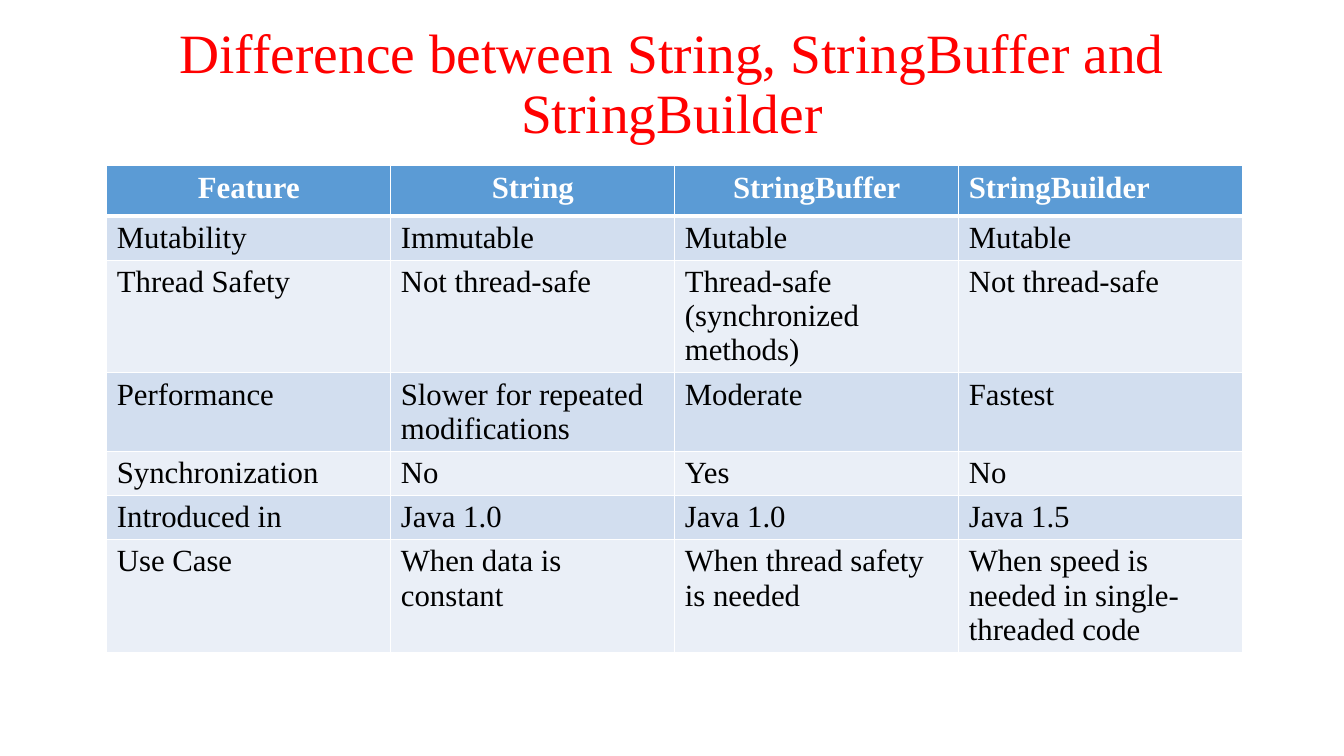
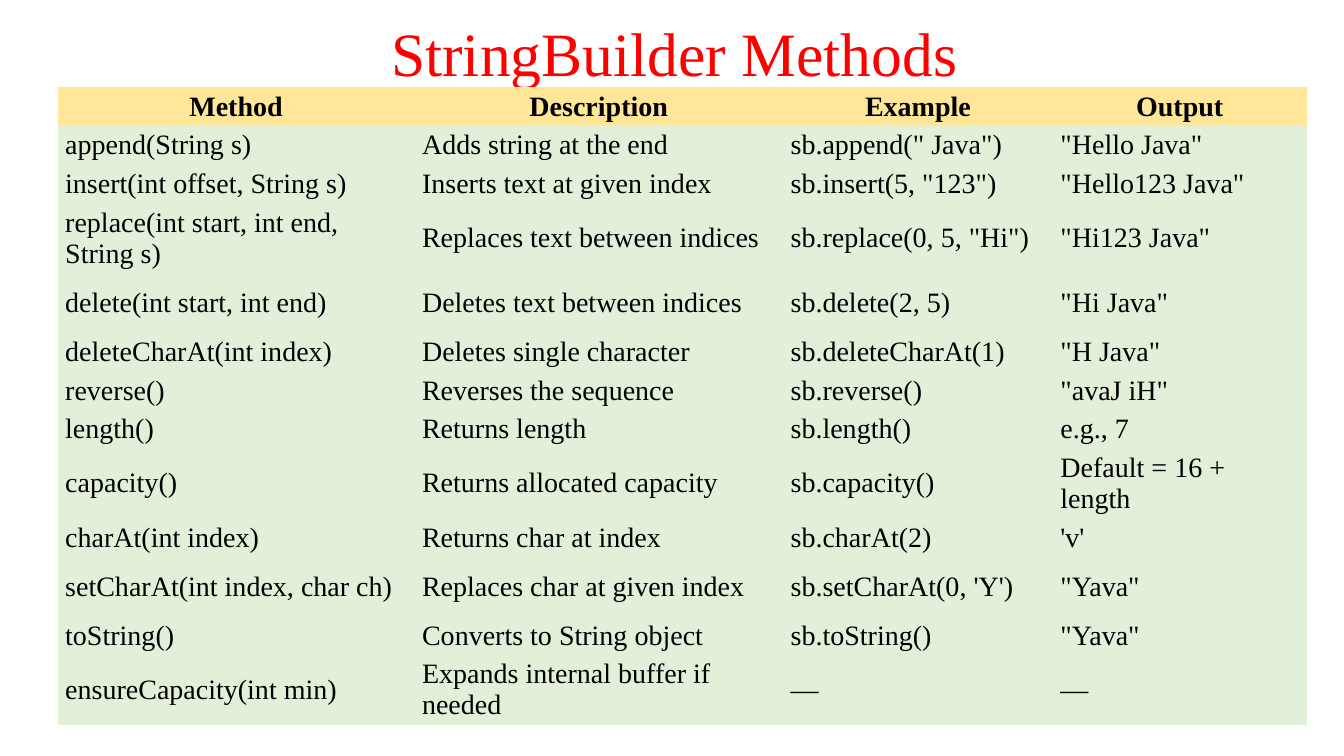
from lxml.etree import SubElement
from pptx import Presentation
from pptx.dml.color import RGBColor
from pptx.enum.text import MSO_ANCHOR as Anchor, MSO_AUTO_SIZE as AutoSize, PP_ALIGN as Align
from pptx.oxml.ns import qn
from pptx.util import Pt

COLORS = {
    "title": "FF0000",
    "text": "000000",
    "white": "FFFFFF",
    "blue": "5B9BD5",
    "band_dark": "D2DEEF",
    "band_light": "EAEFF7",
    "gold": "FFE699",
    "green": "E2F0D9",
}
FONT = "Times New Roman"
TITLE_ONLY = 5

DIFFERENCES = [
    ["Feature", "String", "StringBuffer", "StringBuilder"],
    ["Mutability", "Immutable", "Mutable", "Mutable"],
    ["Thread Safety", "Not thread-safe", "Thread-safe (synchronized methods)", "Not thread-safe"],
    ["Performance", "Slower for repeated modifications", "Moderate", "Fastest"],
    ["Synchronization", "No", "Yes", "No"],
    ["Introduced in", "Java 1.0", "Java 1.0", "Java 1.5"],
    ["Use Case", "When data is constant", "When thread safety is needed",
     "When speed is needed in single-threaded code"],
]
METHODS = [
    ["Method", "Description", "Example", "Output"],
    ["append(String s)", "Adds string at the end", 'sb.append(" Java")', '"Hello Java"'],
    ["insert(int offset, String s)", "Inserts text at given index", 'sb.insert(5, "123")', '"Hello123 Java"'],
    ["replace(int start, int end, String s)", "Replaces text between indices",
     'sb.replace(0, 5, "Hi")', '"Hi123 Java"'],
    ["delete(int start, int end)", "Deletes text between indices", "sb.delete(2, 5)", '"Hi Java"'],
    ["deleteCharAt(int index)", "Deletes single character", "sb.deleteCharAt(1)", '"H Java"'],
    ["reverse()", "Reverses the sequence", "sb.reverse()", '"avaJ iH"'],
    ["length()", "Returns length", "sb.length()", "e.g., 7"],
    ["capacity()", "Returns allocated capacity", "sb.capacity()", "Default = 16 + length"],
    ["charAt(int index)", "Returns char at index", "sb.charAt(2)", "'v'"],
    ["setCharAt(int index, char ch)", "Replaces char at given index", "sb.setCharAt(0, 'Y')", '"Yava"'],
    ["toString()", "Converts to String object", "sb.toString()", '"Yava"'],
    ["ensureCapacity(int min)", "Expands internal buffer if needed", "—", "—"],
]


def color(name):
    return RGBColor.from_string(COLORS[name])


def add_span(para, text, size, color_name, bold=False):
    span = para.add_run()
    span.text = text
    span.font.name = FONT
    span.font.size = Pt(size)
    span.font.bold = bold
    span.font.color.rgb = color(color_name)


def add_page(deck, title, left, top, size):
    page = deck.slides.add_slide(deck.slide_layouts[TITLE_ONLY])
    box = page.shapes.title
    box.left, box.top, box.width, box.height = Pt(left), Pt(top), Pt(828), Pt(80.6)
    frame = box.text_frame
    frame.auto_size = AutoSize.NONE
    frame.word_wrap = True
    frame.vertical_anchor = Anchor.MIDDLE
    para = frame.paragraphs[0]
    para.alignment = Align.CENTER
    para.line_spacing = 0.9
    add_span(para, title, size, "title")
    return page


def add_border(cell, side, width):
    line = SubElement(cell._tc.get_or_add_tcPr(), qn(f"a:ln{side}"), w=str(Pt(width)))
    if width:
        fill = SubElement(line, qn("a:solidFill"))
        SubElement(fill, qn("a:srgbClr"), val=COLORS["white"])
    else:
        SubElement(line, qn("a:noFill"))


def add_grid(page, rows, left, top, widths, heights):
    frame = page.shapes.add_table(len(rows), len(widths), Pt(left), Pt(top),
                                  Pt(sum(widths)), Pt(sum(heights)))
    grid = frame.table
    grid.horz_banding = False
    for column, width in zip(grid.columns, widths):
        column.width = Pt(width)
    for row, height in zip(grid.rows, heights):
        row.height = Pt(height)
    return grid


def fill_cell(cell, text, size, fill, text_color, header, borders):
    for side, width in zip("LRTB", borders):
        add_border(cell, side, width)
    cell.fill.solid()
    cell.fill.fore_color.rgb = color(fill)
    para = cell.text_frame.paragraphs[0]
    para.alignment = Align.CENTER if header else Align.LEFT
    add_span(para, text, size, text_color, bold=header)


def add_differences(page):
    one_line, two_lines, three_lines = 31.6, 56, 80.4
    heights = [36, one_line, three_lines, two_lines, one_line, one_line, three_lines]
    grid = add_grid(page, DIFFERENCES, 76.3, 118.3, [202.86] * 4, heights)
    for r, row in enumerate(DIFFERENCES):
        header = r == 0
        fill = "blue" if header else ("band_dark" if r % 2 else "band_light")
        borders = (1, 1, 3 if r == 1 else 1, 3 if header else 1)
        for c, text in enumerate(row):
            fill_cell(grid.cell(r, c), text, 22, fill, "white" if header else "text", header, borders)
    grid.cell(0, 3).text_frame.paragraphs[0].alignment = Align.LEFT


def add_methods(page):
    one_line, tall, two_lines = 27.6, 42.5, 49.7
    heights = [one_line] * 3 + [two_lines, tall] + [one_line] * 3
    heights += [two_lines, one_line, tall, one_line, two_lines]
    grid = add_grid(page, METHODS, 41.2, 62.4, [254.9, 263.3, 192.7, 181.2], heights)
    for r, row in enumerate(METHODS):
        header = r == 0
        for c, text in enumerate(row):
            cell = grid.cell(r, c)
            cell.vertical_anchor = Anchor.MIDDLE
            cell.margin_left = cell.margin_right = Pt(5.4)
            cell.margin_top = cell.margin_bottom = Pt(2.7)
            fill_cell(cell, text, 20, "gold" if header else "green", "text", header, (0, 0, 0, 0))


def main():
    deck = Presentation()
    deck.slide_width, deck.slide_height = Pt(960), Pt(540)
    add_differences(add_page(deck, "Difference between String, StringBuffer and StringBuilder", 66, 20.9, 39.6))
    add_methods(add_page(deck, "StringBuilder Methods ", 73.4, 0, 44))
    deck.save("out.pptx")


if __name__ == "__main__":
    main()
